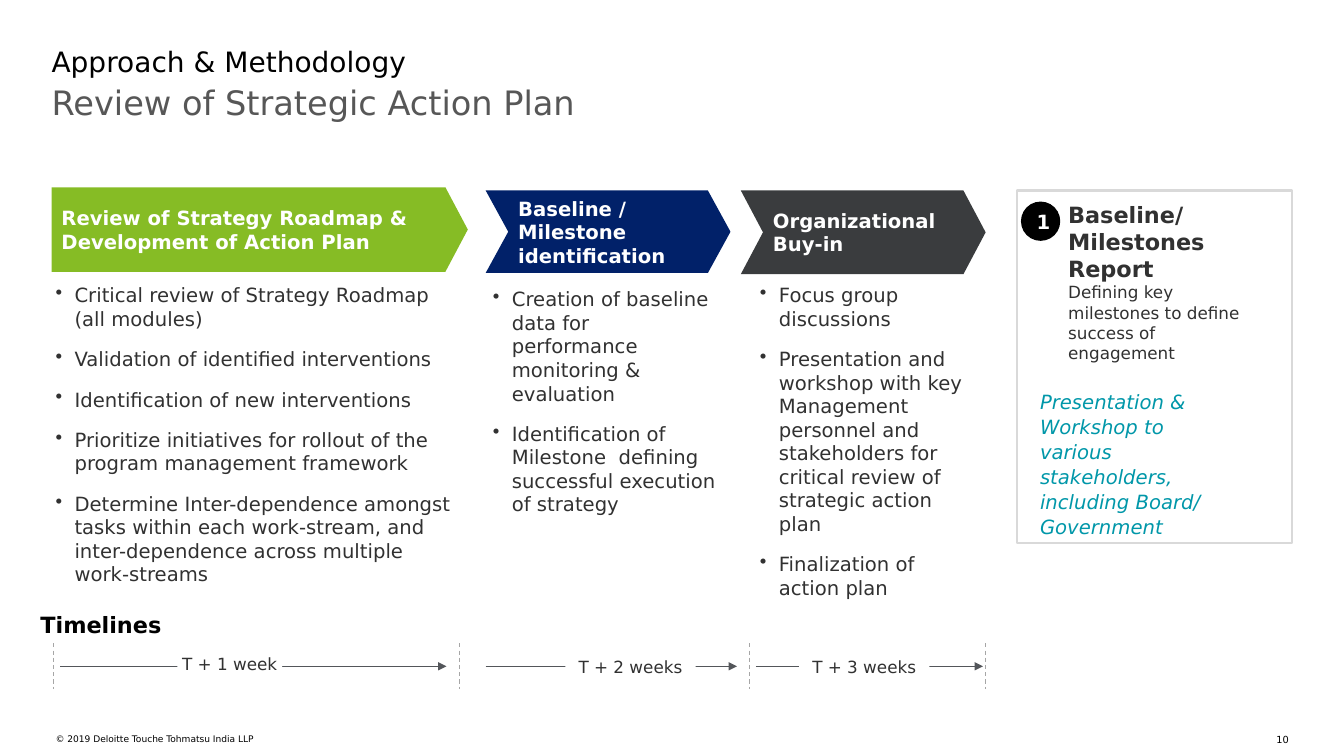
from dataclasses import dataclass

from lxml import etree
from pptx import Presentation
from pptx import util as u
from pptx.dml.color import RGBColor
from pptx.enum import dml, shapes, text
from pptx.oxml.ns import qn

FONT = "DejaVu Sans"
COLOURS = {
    "black": "000000", "white": "FFFFFF", "grey": "575757", "body": "313131",
    "green": "86BC25", "navy": "012169", "charcoal": "3A3C3E", "teal": "0097A9",
    "tick": "A6A6A6", "arrow": "53565A", "frame": "D9D9D9",
}
TOP, MIDDLE = text.MSO_ANCHOR.TOP, text.MSO_ANCHOR.MIDDLE
LEFT, CENTER, RIGHT = text.PP_ALIGN.LEFT, text.PP_ALIGN.CENTER, text.PP_ALIGN.RIGHT
RECTANGLE = shapes.MSO_SHAPE.RECTANGLE
PADDING = 0.25
BULLET_INDENT = 0.48
TICK_TOP, ARROW_Y, TICK_BOTTOM = 16.21, 16.79, 17.37

Place = tuple[float, float, float, float]
Insets = tuple[float, float, float, float]
PADDED: Insets = (PADDING, PADDING, PADDING, PADDING)
FLUSH: Insets = (0, 0, 0, 0)


@dataclass(frozen=True)
class Style:
    size: float
    colour: str
    bold: bool = False
    italic: bool = False


@dataclass(frozen=True)
class Line:
    words: str
    style: Style
    align: text.PP_ALIGN = LEFT
    after: float = 0
    spacing: float = 1.0
    bullet: bool = False


@dataclass(frozen=True)
class Note:
    place: Place
    lines: list[Line]
    insets: Insets = FLUSH
    anchor: text.MSO_ANCHOR = TOP


@dataclass(frozen=True)
class Stage:
    kind: shapes.MSO_SHAPE
    place: Place
    point: float
    colour: str
    heading: str
    right_inset: float
    tasks_place: Place
    tasks: list[str]


@dataclass(frozen=True)
class Period:
    start: float
    end: float
    place: Place
    label: str


HEADING = Style(14, "white", bold=True)
TASK = Style(14, "body")
SMALL = Style(12, "body")

STAGES = [
    Stage(shapes.MSO_SHAPE.PENTAGON, (1.3, 4.72, 10.49, 2.13), 0.265, "green",
          "Review of Strategy Roadmap & Development of Action Plan", PADDING,
          (1.3, 7.04, 10.49, 8.59),
          ["Critical review of Strategy Roadmap (all modules)",
           "Validation of identified interventions",
           "Identification of new interventions",
           "Prioritize initiatives for rollout of the program management framework",
           "Determine Inter-dependence amongst tasks within each work-stream, "
           "and inter-dependence across multiple work-streams"]),
    Stage(shapes.MSO_SHAPE.CHEVRON, (12.24, 4.8, 6.17, 2.08), 0.274, "navy",
          "Baseline / Milestone identification", 0,
          (12.32, 7.14, 5.94, 8.59),
          ["Creation of baseline data for performance monitoring & evaluation",
           "Identification of Milestone  defining successful execution of strategy"]),
    Stage(shapes.MSO_SHAPE.CHEVRON, (18.67, 4.8, 6.17, 2.11), 0.265, "charcoal",
          "Organizational Buy-in", 0,
          (19.05, 7.04, 5.59, 8.59),
          ["Focus group discussions",
           "Presentation and workshop with key Management personnel and "
           "stakeholders for critical review of strategic action plan",
           "Finalization of action plan"]),
]

PERIODS = [
    Period(1.52, 11.25, (4.47, 16.48, 2.64, 0.51), "T + 1 week"),
    Period(12.24, 18.57, (14.25, 16.54, 3.28, 0.51), "T + 2 weeks"),
    Period(19.05, 24.77, (20.14, 16.54, 3.28, 0.51), "T + 3 weeks"),
]
TICKS = [1.35, 11.58, 18.9, 24.84]

NOTES = [
    Note((1.3, 1.12, 31.27, 1.93), [Line("Approach & Methodology", Style(20, "black"))]),
    Note((1.02, 15.39, 6.1, 0.69), [Line("Timelines", Style(16, "black", bold=True))]),
    Note((26.92, 5.08, 4.9, 4.11),
         [Line("Baseline/ Milestones Report", Style(16, "body", bold=True)),
          Line("Defining key milestones to define success of engagement", SMALL)]),
    Note((25.96, 10.57, 5.38, 2.21),
         [Line("Presentation & Workshop to various stakeholders, including Board/ Government",
               Style(14, "teal", italic=True), spacing=1.06)], PADDED, MIDDLE),
    Note((1.4, 18.49, 14.88, 0.56),
         [Line("© 2019 Deloitte Touche Tohmatsu India LLP", Style(6.5, "black"))]),
    Note((31.62, 18.49, 0.86, 0.28), [Line("10", Style(7, "black"), align=RIGHT)]),
]


def rgb(name: str) -> RGBColor:
    return RGBColor.from_string(COLOURS[name])


def write(box, lines: list[Line], insets: Insets = FLUSH, anchor=TOP) -> None:
    frame = box.text_frame
    frame.word_wrap = True
    frame.auto_size = text.MSO_AUTO_SIZE.NONE
    frame.vertical_anchor = anchor
    (frame.margin_left, frame.margin_top,
     frame.margin_right, frame.margin_bottom) = map(u.Cm, insets)
    for index, line in enumerate(lines):
        para = frame.add_paragraph() if index else frame.paragraphs[0]
        if line.bullet:
            properties = para._p.get_or_add_pPr()
            properties.set("marL", str(u.Cm(BULLET_INDENT)))
            properties.set("indent", str(-u.Cm(BULLET_INDENT)))
            etree.SubElement(properties, qn("a:buChar"), char="•")
        para.alignment = line.align
        para.space_after = u.Pt(line.after)
        para.line_spacing = line.spacing
        span = para.add_run()
        span.text = line.words
        span.font.name = FONT
        span.font.size = u.Pt(line.style.size)
        span.font.bold = line.style.bold
        span.font.italic = line.style.italic
        span.font.color.rgb = rgb(line.style.colour)


def add_note(page, note: Note) -> None:
    box = page.shapes.add_textbox(*map(u.Cm, note.place))
    write(box, note.lines, note.insets, note.anchor)


def add_block(page, kind: shapes.MSO_SHAPE, place: Place, fill: str):
    block = page.shapes.add_shape(kind, *map(u.Cm, place))
    block.shadow.inherit = False
    block.fill.solid()
    block.fill.fore_color.rgb = rgb(fill)
    block.line.fill.background()
    return block


def add_stage(page, stage: Stage) -> None:
    banner = add_block(page, stage.kind, stage.place, stage.colour)
    banner.adjustments[0] = stage.point
    write(banner, [Line(stage.heading, HEADING)],
          (PADDING, PADDING, stage.right_inset, PADDING), MIDDLE)
    tasks = [Line(task, TASK, after=12, bullet=True) for task in stage.tasks]
    add_note(page, Note(stage.tasks_place, tasks, (0.1, 0.1, 0.1, 0.1)))


def add_rule(page, start: tuple[float, float], end: tuple[float, float], colour: str):
    rule = page.shapes.add_connector(shapes.MSO_CONNECTOR.STRAIGHT, *map(u.Cm, start + end))
    rule.line.color.rgb = rgb(colour)
    rule.line.width = u.Pt(0.75)
    etree.SubElement(rule._element.spPr, qn("a:effectLst"))
    return rule


def add_period(page, period: Period) -> None:
    arrow = add_rule(page, (period.start, ARROW_Y), (period.end, ARROW_Y), "arrow")
    etree.SubElement(arrow.line._get_or_add_ln(), qn("a:tailEnd"), type="triangle")
    label = add_block(page, RECTANGLE, period.place, "white")
    write(label, [Line(period.label, SMALL, align=CENTER)])


def main() -> None:
    deck = Presentation()
    deck.slide_width, deck.slide_height = u.Cm(33.87), u.Cm(19.05)
    page = deck.slides.add_slide(deck.slide_layouts[5])
    title = page.shapes.title
    title.left, title.top, title.width, title.height = map(u.Cm, (1.3, 2.06, 31.27, 2.11))
    write(title, [Line("Review of Strategic Action Plan", Style(24, "grey"))])
    for stage in STAGES:
        add_stage(page, stage)
    for tick in TICKS:
        rule = add_rule(page, (tick, TICK_TOP), (tick, TICK_BOTTOM), "tick")
        rule.line.dash_style = dml.MSO_LINE.DASH
    for period in PERIODS:
        add_period(page, period)
    report = add_block(page, RECTANGLE, (25.63, 4.8, 6.93, 8.89), "white")
    report.fill.background()
    report.line.color.rgb = rgb("frame")
    report.line.width = u.Pt(1.5)
    badge = add_block(page, shapes.MSO_SHAPE.OVAL, (25.73, 5.08, 0.99, 0.99), "black")
    write(badge, [Line("1", HEADING, align=CENTER, spacing=1.06)], PADDED, MIDDLE)
    for note in NOTES:
        add_note(page, note)
    deck.save("out.pptx")


if __name__ == "__main__":
    main()
